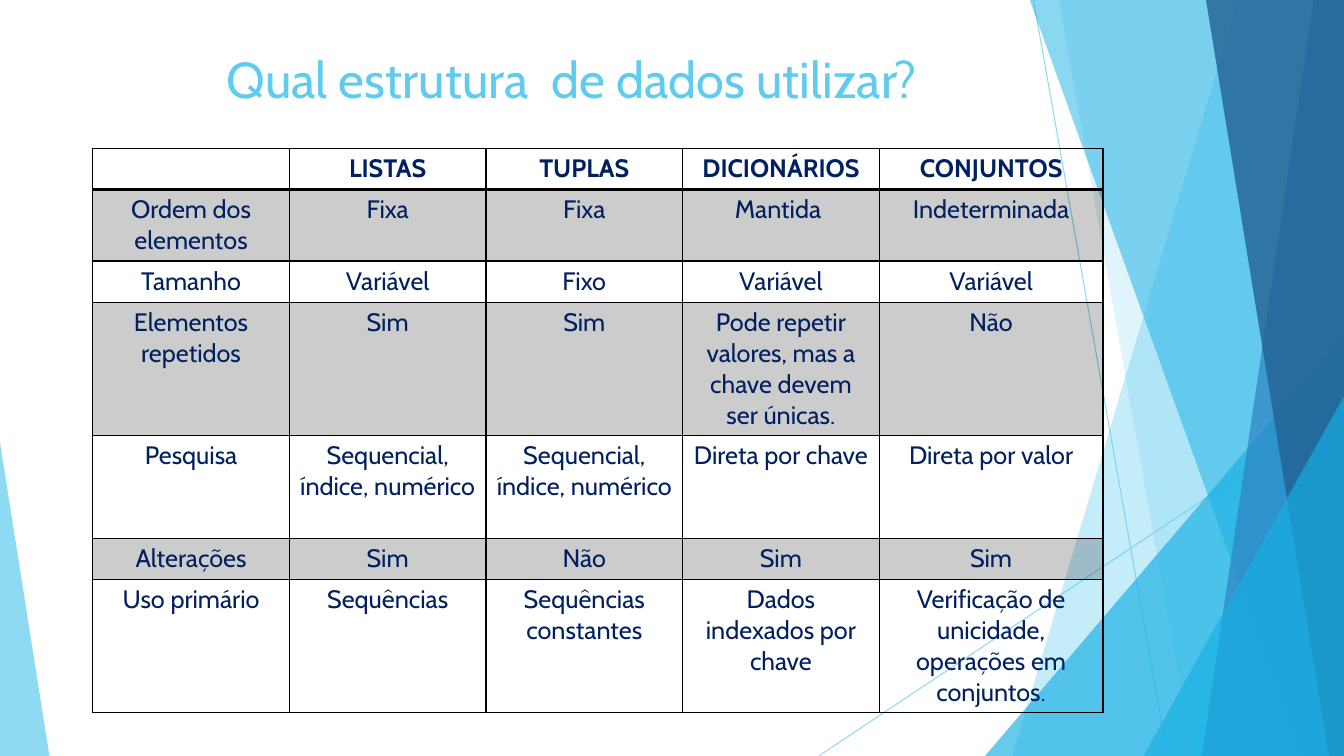
from lxml import etree
from pptx import Presentation
from pptx.dml.color import RGBColor
from pptx.enum.shapes import MSO_CONNECTOR, MSO_SHAPE
from pptx.enum.text import MSO_ANCHOR, PP_ALIGN
from pptx.oxml.ns import qn
from pptx.util import Inches, Pt

LINE = MSO_CONNECTOR.STRAIGHT
WEDGE = MSO_SHAPE.ISOSCELES_TRIANGLE
CENTER = PP_ALIGN.CENTER
TOP = MSO_ANCHOR.TOP

HUES = {"sky": "5FCBEF", "cyan": "17B0E4", "blue": "2E83C3",
        "deep": "226292", "navy": "002060", "black": "000000"}


def paint(fill, hue):
    fill.solid()
    fill.fore_color.rgb = RGBColor.from_string(HUES[hue])


def fade(node, part):
    for tint in node.iter(qn("a:srgbClr")):
        etree.SubElement(tint, qn("a:alpha"), val=str(part * 1000))


deck = Presentation()
deck.slide_width, deck.slide_height = Inches(13.33), Inches(7.5)
slide = deck.slides.add_slide(deck.slide_layouts[6])
shapes = slide.shapes

for ends in [(10.25, 0, 11.58, 7.5), (13.33, 4.03, 8.12, 7.5)]:
    ray = shapes.add_connector(LINE, *map(Inches, ends))
    ray.line.width = Pt(0.75)
    paint(ray.line.fill, "sky")
    props = ray._element.spPr
    fade(props, 70)
    etree.SubElement(props, qn("a:effectLst"))

# Bands give top left, bottom left; wedges give a box and the tip side.
facets = [
    ("band", (12.28, 10.04), "sky", 36),
    ("band", (10.5, 11.83), "sky", 20),
    ("wedge", (9.77, 3.33, 3.56, 4.17, 1), "cyan", 66),
    ("band", (10.21, 12.91), "cyan", 50),
    ("band", (13.03, 11.92), "blue", 70),
    ("band", (11.96, 13.18), "deep", 80),
    ("wedge", (11.34, 3.93, 1.99, 3.57, 1), "cyan", 66),
    ("wedge", (0, 4.39, 0.49, 3.11, 0), "sky", 70),
]
for kind, dims, hue, part in facets:
    if kind == "band":
        high, low = map(Inches, dims)
        head, foot, edge = Inches(-0.01), Inches(7.5), Inches(13.33)
        pen = shapes.build_freeform(high, head)
        pen.add_line_segments([(edge, head), (edge, foot), (low, foot)])
        facet = pen.convert_to_shape()
    else:
        facet = shapes.add_shape(WEDGE, *map(Inches, dims[:4]))
        facet.adjustments[0] = dims[4]
    facet.shadow.inherit = False
    facet.line.fill.background()
    paint(facet.fill, hue)
    fade(facet._element.spPr, part)

title = shapes.add_textbox(Inches(2.15), Inches(0.43), Inches(9.4), Inches(1.44))
frame = title.text_frame
for key, val in {"word_wrap": True, "vertical_anchor": TOP}.items():
    setattr(frame, key, val)
frame.text = "Qual estrutura  de dados utilizar?"
font = frame.paragraphs[0].runs[0].font
for key, val in {"name": "Cabin", "size": Pt(36)}.items():
    setattr(font, key, val)
paint(font.fill, "sky")

rows = [
    ("", "LISTAS", "TUPLAS", "DICIONÁRIOS", "CONJUNTOS"),
    ("Ordem dos elementos", "Fixa", "Fixa", "Mantida ", "Indeterminada"),
    ("Tamanho", "Variável", "Fixo", "Variável", "Variável"),
    ("Elementos repetidos", "Sim", "Sim",
     "Pode repetir valores, mas a chave devem ser únicas.", "Não"),
    ("Pesquisa", "Sequencial, índice, numérico", "Sequencial, índice, numérico",
     "Direta por chave", "Direta por valor"),
    ("Alterações", "Sim", "Não", "Sim", "Sim"),
    ("Uso primário", "Sequências", "Sequências constantes",
     "Dados indexados por chave",
     "Verificação de unicidade, operações em conjuntos."),
]
widths = [1.95] * 4 + [2.22]
heights = [0.41, 0.71, 0.41, 1.32, 1.02, 0.41, 1.32]
table = shapes.add_table(len(rows), len(widths), Inches(0.92), Inches(1.47),
                         Inches(sum(widths)), Inches(sum(heights))).table
table.first_row = table.horz_banding = False
for col, width in zip(table.columns, widths):
    col.width = Inches(width)
for row, height in zip(table.rows, heights):
    row.height = Inches(height)

margins = {"margin_left": Inches(0.09), "margin_right": Inches(0.09),
           "margin_top": Inches(0.05), "margin_bottom": Inches(0.05)}
for r, texts in enumerate(rows):
    for c, text in enumerate(texts):
        cell = table.cell(r, c)
        for key, val in margins.items():
            setattr(cell, key, val)
        props = cell._tc.get_or_add_tcPr()
        for side in "LRTB":
            thick = (r, side) in [(0, "B"), (1, "T")]
            rule = etree.SubElement(props, qn("a:ln" + side),
                                    w=str(Pt(2 if thick else 1)))
            solid = etree.SubElement(rule, qn("a:solidFill"))
            etree.SubElement(solid, qn("a:srgbClr"), val=HUES["black"])
        if r in (1, 3, 5):
            paint(cell.fill, "black")
            fade(props.find(qn("a:solidFill")), 20)
        else:
            cell.fill.background()
        para = cell.text_frame.paragraphs[0]
        para.alignment = CENTER
        style = {"name": "Cabin", "size": Pt(18), "bold": r == 0}
        if text:
            run = para.add_run()
            run.text = text
            for key, val in style.items():
                setattr(run.font, key, val)
            paint(run.font.fill, "navy")

deck.save("out.pptx")
